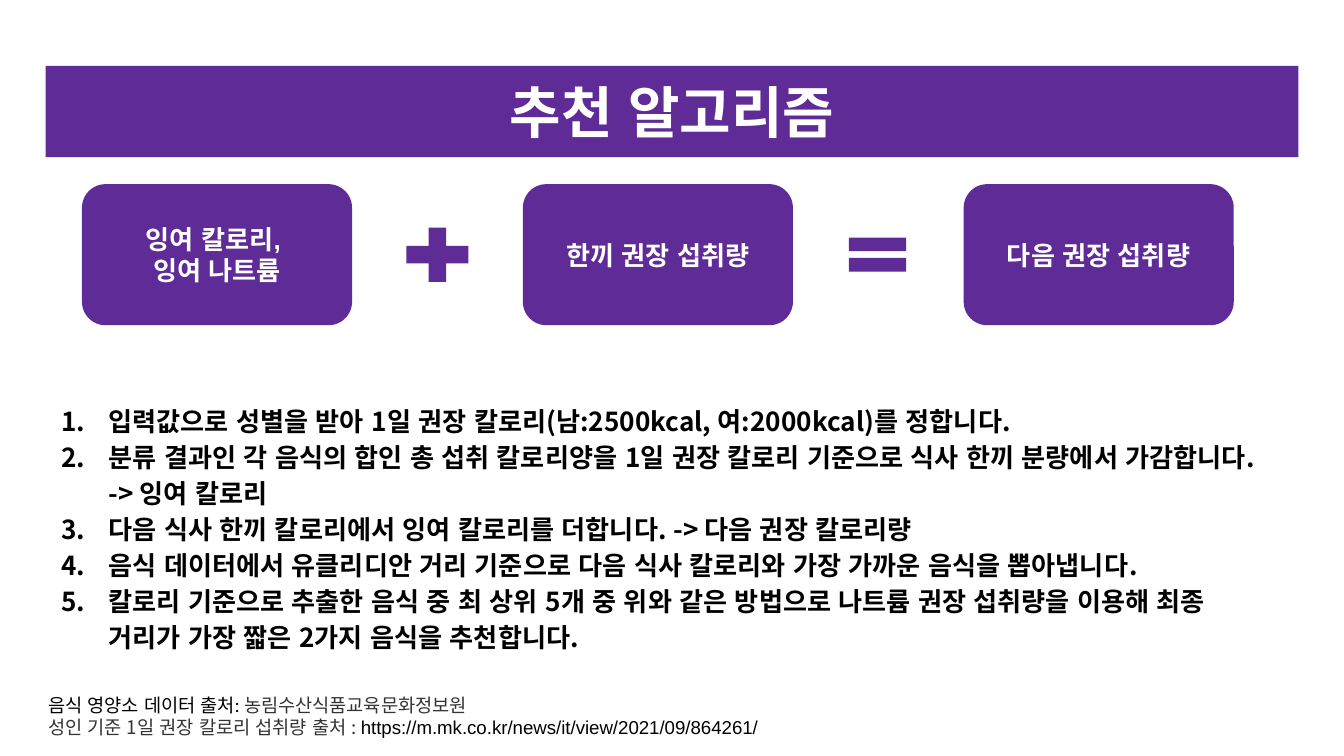
import pptx
import pptx.dml.color
import pptx.enum.lang
import pptx.enum.shapes
import pptx.enum.text
import pptx.oxml.ns
import pptx.util
from lxml import etree

Inches = pptx.util.Inches
SHAPES = pptx.enum.shapes.MSO_SHAPE
ALIGN = pptx.enum.text.PP_ALIGN
ANCHOR = pptx.enum.text.MSO_ANCHOR

COLORS = {"purple": "5E2B97", "white": "FFFFFF", "black": "000000", "gray": "333333"}
KOREAN_FONT = "Noto Sans CJK KR"

TERMS = ["잉여 칼로리, \n잉여 나트륨", "한끼 권장 섭취량", "다음 권장 섭취량"]
STEPS = [
    "입력값으로 성별을 받아 1일 권장 칼로리(남:2500kcal, 여:2000kcal)를 정합니다.",
    "분류 결과인 각 음식의 합인 총 섭취 칼로리양을 1일 권장 칼로리 기준으로 "
    "식사 한끼 분량에서 가감합니다. -> 잉여 칼로리",
    "다음 식사 한끼 칼로리에서 잉여 칼로리를 더합니다. -> 다음 권장 칼로리량",
    "음식 데이터에서 유클리디안 거리 기준으로 다음 식사 칼로리와 가장 가까운 음식을 뽑아냅니다.",
    "칼로리 기준으로 추출한 음식 중 최 상위 5개 중 위와 같은 방법으로 "
    "나트륨 권장 섭취량을 이용해 최종 거리가 가장 짧은 2가지 음식을 추천합니다.",
]
SOURCES = [
    [("음식 영양소 데이터 출처: ", "Lato", "black"),
     ("농림수산식품교육문화정보원", KOREAN_FONT, "gray")],
    [("성인 기준 1일 권장 칼로리 섭취량 출처 : ", KOREAN_FONT, "gray"),
     ("https://m.mk.co.kr/news/it/view/2021/09/864261/", "Arial", "black")],
]


def rgb(name):
    return pptx.dml.color.RGBColor.from_string(COLORS[name])


def style_run(run, size, font, color, bold=False):
    run.font.size = pptx.util.Pt(size)
    run.font.name = font
    run.font.bold = bold
    run.font.color.rgb = rgb(color)
    run.font.language_id = pptx.enum.lang.MSO_LANGUAGE_ID.KOREAN
    # Hangul takes its typeface from the East Asian slot, without pair kerning
    properties = run.font._rPr
    properties.set("kern", "0")
    east_asian = etree.Element(pptx.oxml.ns.qn("a:ea"), typeface=KOREAN_FONT)
    properties.find(pptx.oxml.ns.qn("a:latin")).addnext(east_asian)


def set_frame(frame, anchor):
    frame.word_wrap = True
    frame.vertical_anchor = anchor
    frame.margin_left = frame.margin_right = Inches(0.1)
    frame.margin_top = frame.margin_bottom = Inches(0.1)


def add_purple_shape(slide, preset, left, top, width, height, adjustments=()):
    shape = slide.shapes.add_shape(
        preset, Inches(left), Inches(top), Inches(width), Inches(height))
    for index, value in enumerate(adjustments):
        shape.adjustments[index] = value
    shape.fill.solid()
    shape.fill.fore_color.rgb = rgb("purple")
    shape.line.fill.background()
    shape.shadow.inherit = False
    return shape


def add_label(shape, text, size, font):
    frame = shape.text_frame
    set_frame(frame, ANCHOR.MIDDLE)
    frame.text = text
    for paragraph in frame.paragraphs:
        paragraph.alignment = ALIGN.CENTER
        for run in paragraph.runs:
            style_run(run, size, font, "white", bold=True)


def add_text_box(slide, left, top, width, height):
    box = slide.shapes.add_textbox(
        Inches(left), Inches(top), Inches(width), Inches(height))
    set_frame(box.text_frame, ANCHOR.TOP)
    return box.text_frame


def number_paragraph(paragraph):
    properties = paragraph._p.get_or_add_pPr()
    properties.set("marL", str(Inches(0.5)))
    properties.set("indent", str(-Inches(0.35)))
    bullet_color = etree.SubElement(properties, pptx.oxml.ns.qn("a:buClr"))
    etree.SubElement(bullet_color, pptx.oxml.ns.qn("a:srgbClr"), val=COLORS["black"])
    etree.SubElement(properties, pptx.oxml.ns.qn("a:buFont"), typeface=KOREAN_FONT)
    etree.SubElement(properties, pptx.oxml.ns.qn("a:buAutoNum"), type="arabicPeriod")


def add_equation(slide):
    for index, term in enumerate(TERMS):
        card = add_purple_shape(slide, SHAPES.ROUNDED_RECTANGLE,
                                0.61 + 3.28 * index, 1.37, 2.01, 1.05, [0.167])
        add_label(card, term, 14, "Arial")
    add_purple_shape(slide, SHAPES.MATH_PLUS, 2.94, 1.62, 0.63, 0.55, [0.235])
    add_purple_shape(slide, SHAPES.MATH_EQUAL, 6.24, 1.68, 0.58, 0.43, [0.235, 0.118])


def add_steps(slide):
    frame = add_text_box(slide, 0.21, 2.88, 9.37, 2.02)
    frame.text = "\n".join(STEPS)
    for paragraph in frame.paragraphs:
        number_paragraph(paragraph)
        paragraph.line_spacing = 1.15
        style_run(paragraph.runs[0], 14, KOREAN_FONT, "black", bold=True)


def add_sources(slide):
    frame = add_text_box(slide, 0.26, 5.06, 6.26, 0.54)
    for index, parts in enumerate(SOURCES):
        paragraph = frame.add_paragraph() if index else frame.paragraphs[0]
        for text, font, color in parts:
            run = paragraph.add_run()
            run.text = text
            style_run(run, 10, font, color)


def main():
    deck = pptx.Presentation()
    # Widescreen, 16:9
    deck.slide_width = Inches(10)
    deck.slide_height = Inches(10) * 9 // 16
    slide = deck.slides.add_slide(deck.slide_layouts[6])

    # Title band
    title = add_purple_shape(slide, SHAPES.RECTANGLE, 0.34, 0.49, 9.32, 0.68)
    add_label(title, "추천 알고리즘", 30, "Manrope")

    # Equation, numbered steps and data sources
    add_equation(slide)
    add_steps(slide)
    add_sources(slide)
    deck.save("out.pptx")


if __name__ == "__main__":
    main()
